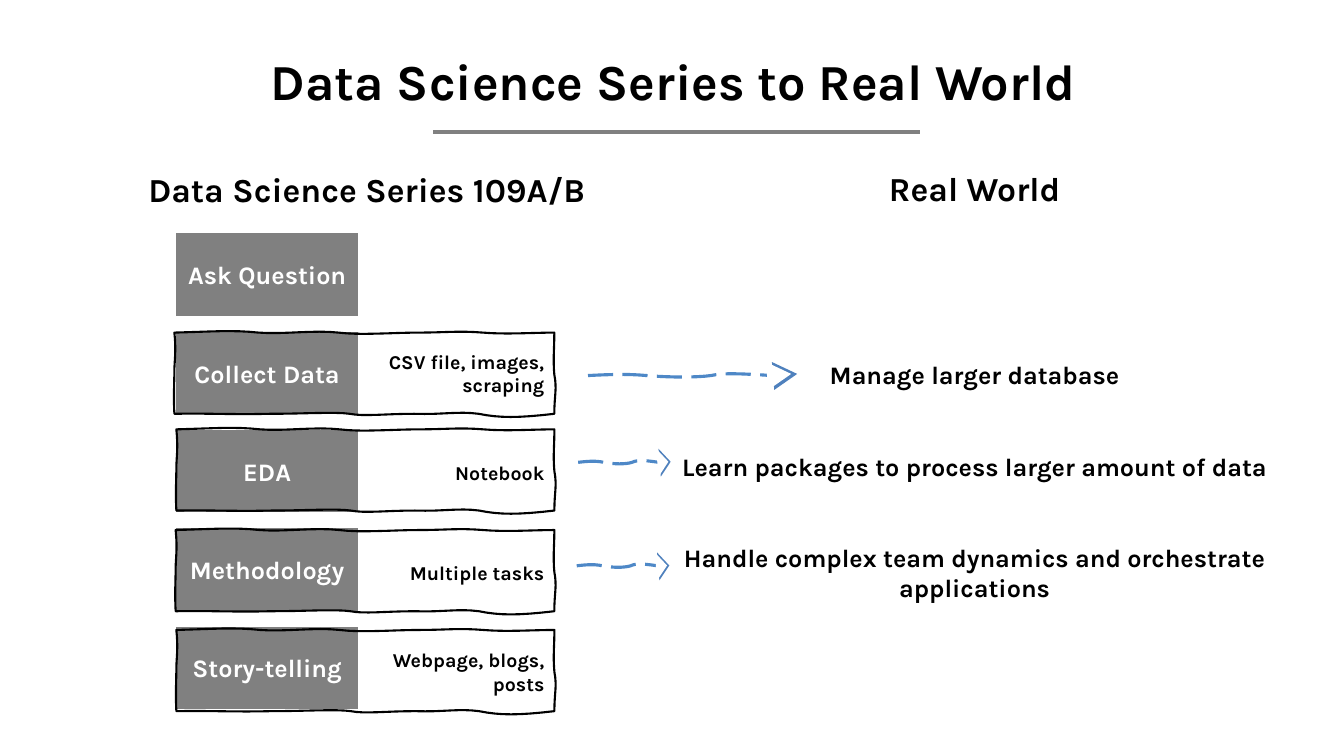
import pptx
import pptx.util
import pptx.dml.color
import pptx.enum.dml
import pptx.enum.shapes
import pptx.enum.text
import pptx.oxml

Pt = pptx.util.Pt
SHAPE = pptx.enum.shapes.MSO_SHAPE
ALIGN = pptx.enum.text.PP_ALIGN
ANCHOR = pptx.enum.text.MSO_ANCHOR

# Content
TITLE = "Data Science Series to Real World"
COURSE_HEADING = "Data Science Series 109A/B"
STEPS = ["Ask Question", "Collect Data", "EDA", "Methodology", "Story-telling"]
# Lines, text top, frame left, frame top
NOTES = [
    (["CSV file, images,", "scraping"], 246.2, 124.6, 237.6),
    (["Notebook"], 325.4, 126, 306.7),
    (["Multiple tasks"], 397.4, 125.5, 378.6),
    (["Webpage, blogs,", "posts"], 459.4, 126, 450),
]
# Text, size, space before
REAL_WORLD = [
    ("Real World", 24, 0),
    ("Manage larger database", 18, 108),
    ("Learn packages to process larger amount of data", 18, 43.5),
    ("Handle complex team dynamics and orchestrate applications", 18, 43.5),
]
# Tail left, tail right, tail y, head left, head top, head height, head stroke
ARROWS = [
    (420, 551, 268.3, 550.8, 259.2, 17.3, 4.3),
    (413, 470.5, 330.3, 465.1, 326.2, 7.9, 1.6),
    (412, 469.5, 404.2, 464.1, 400.3, 7.9, 1.6),
]
COLORS = {"ink": "000000", "paper": "FFFFFF", "gray": "808080",
          "dash": "4E88C7", "head": "4F81BD"}
FONT = "Karla"

# Hand-drawn curves: two control points and an end for each piece
FRAME_CURVES = [
    ((26, -0.7), (42, -2), (60, 0)), ((77, 1.4), (100, -2), (117, 0)),
    ((133, 2), (155, 0), (174, 0)), ((193, 0), (203, -1.4), (220, 0)),
    ((236, 1.4), (256, 0), (271, 0)),
    ((271, 12), (270, 19), (271, 30)), ((273, 40), (271, 45), (271, 58)),
    ((245, 61), (232, 61), (217, 58)), ((202, 56), (192, 58.7), (171, 58)),
    ((150, 58), (135, 60), (125, 58)), ((115, 56.5), (92, 58), (68, 58)),
    ((43, 58.7), (24, 57.5), (0, 58)),
    ((-0.7, 46), (0, 35), (0, 27)), ((0, 21), (1.4, 13), (0, 0)),
]
TAIL_CURVES = [
    ((0.11, -0.7), (0.2, -1.4), (0.32, 0)),
    ((0.45, 1.4), (0.59, 1.4), (0.67, 0)),
    ((0.74, -2), (0.84, -1.4), (1, 0)),
]
FRAME_RIGHT, FRAME_WIDTH = 396, 271
STEP_LEFT, STEP_TOP, STEP_WIDTH, STEP_HEIGHT, STEP_PITCH = 124.6, 165.6, 132.5, 61.2, 70.2


def rgb(name):
    return pptx.dml.color.RGBColor.from_string(COLORS[name])


def write(tf, text, size=18, color="ink", align=ALIGN.CENTER, before=0, first=True):
    p = tf.paragraphs[0] if first else tf.add_paragraph()
    p.alignment = align
    p.space_before = Pt(before)
    p.space_after = Pt(0)
    r = p.add_run()
    r.text = text
    r.font.name, r.font.size, r.font.bold = FONT, Pt(size), True
    r.font.color.rgb = rgb(color)


def add_text(s, left, top, width, height):
    tf = s.shapes.add_textbox(Pt(left), Pt(top), Pt(width), Pt(height)).text_frame
    tf.word_wrap = True
    return tf


def add_block(s, kind, left, top, width, height, fill):
    sp = s.shapes.add_shape(kind, Pt(left), Pt(top), Pt(width), Pt(height))
    sp.shadow.inherit = False
    sp.fill.solid()
    sp.fill.fore_color.rgb = rgb(fill)
    sp.line.fill.background()
    return sp


def add_sketch(s, curves, left, top, x_scale, color, weight, close):
    """Trace the curves with short segments as one unfilled outline."""
    points, start = [], (0, 0)
    for c1, c2, end in curves:
        for t in [i / 8 for i in range(1, 9)]:
            x, y = [(1 - t) ** 3 * a + 3 * (1 - t) ** 2 * t * b
                    + 3 * (1 - t) * t ** 2 * c + t ** 3 * d
                    for a, b, c, d in zip(start, c1, c2, end)]
            points.append((Pt(left + x * x_scale), Pt(top + y)))
        start = end
    builder = s.shapes.build_freeform(Pt(left), Pt(top))
    builder.add_line_segments(points, close=close)
    sp = builder.convert_to_shape()
    sp.shadow.inherit = False
    sp.fill.background()
    sp.line.color.rgb = rgb(color)
    sp.line.width = Pt(weight)
    return sp


prs = pptx.Presentation()
prs.slide_width, prs.slide_height = Pt(960), Pt(540)
s = prs.slides.add_slide(prs.slide_layouts[5])

# Title and rule
title = s.shapes.title
title.left, title.top, title.width, title.height = Pt(86), Pt(32), Pt(790), Pt(51)
title.text_frame.auto_size = pptx.enum.text.MSO_AUTO_SIZE.NONE
title.text_frame.vertical_anchor = ANCHOR.MIDDLE
write(title.text_frame, TITLE, size=36)
rule = s.shapes.add_connector(pptx.enum.shapes.MSO_CONNECTOR.STRAIGHT,
                              Pt(309.5), Pt(94.3), Pt(657.5), Pt(94.3))
rule.line.color.rgb = rgb("gray")
rule.line.width = Pt(3)
rule.element.spPr.append(pptx.oxml.parse_xml(
    '<a:effectLst xmlns:a="http://schemas.openxmlformats.org/drawingml/2006/main"/>'))

# Course steps
write(add_text(s, 44, 117.4, 436, 36), COURSE_HEADING, size=24)
for i, step in enumerate(STEPS):
    sp = add_block(s, SHAPE.RECTANGLE, STEP_LEFT, STEP_TOP + i * STEP_PITCH,
                   STEP_WIDTH, STEP_HEIGHT, "gray")
    sp.line.color.rgb = rgb("paper")
    sp.line.width = Pt(2.25)
    tf = sp.text_frame
    tf.margin_left = tf.margin_right = 0
    tf.vertical_anchor = ANCHOR.MIDDLE
    write(tf, step, color="paper")

# Sketched frames with notes
for lines, text_top, left, top in NOTES:
    add_sketch(s, FRAME_CURVES, left, top, (FRAME_RIGHT - left) / FRAME_WIDTH,
               "ink", 1.5, True)
    tf = add_text(s, 258, text_top, 138, 24 if len(lines) == 1 else 41)
    for i, line in enumerate(lines):
        write(tf, line, size=14, align=ALIGN.RIGHT, first=i == 0)

# Real world column
tf = add_text(s, 476.6, 116.6, 439.2, 337)
for i, (text, size, before) in enumerate(REAL_WORLD):
    write(tf, text, size=size, before=before, first=i == 0)

# Dashed arrows with open heads
for left, right, y, head_left, head_top, head_height, stroke in ARROWS:
    tail = add_sketch(s, TAIL_CURVES, left, y, right - left, "dash", 2.25, False)
    tail.line.dash_style = pptx.enum.dml.MSO_LINE.LONG_DASH
    for shift, fill in ((0, "head"), (stroke, "paper")):
        head = add_block(s, SHAPE.ISOSCELES_TRIANGLE, head_left - shift, head_top,
                         20, head_height, fill)
        head.rotation = 85.2

prs.save("out.pptx")
